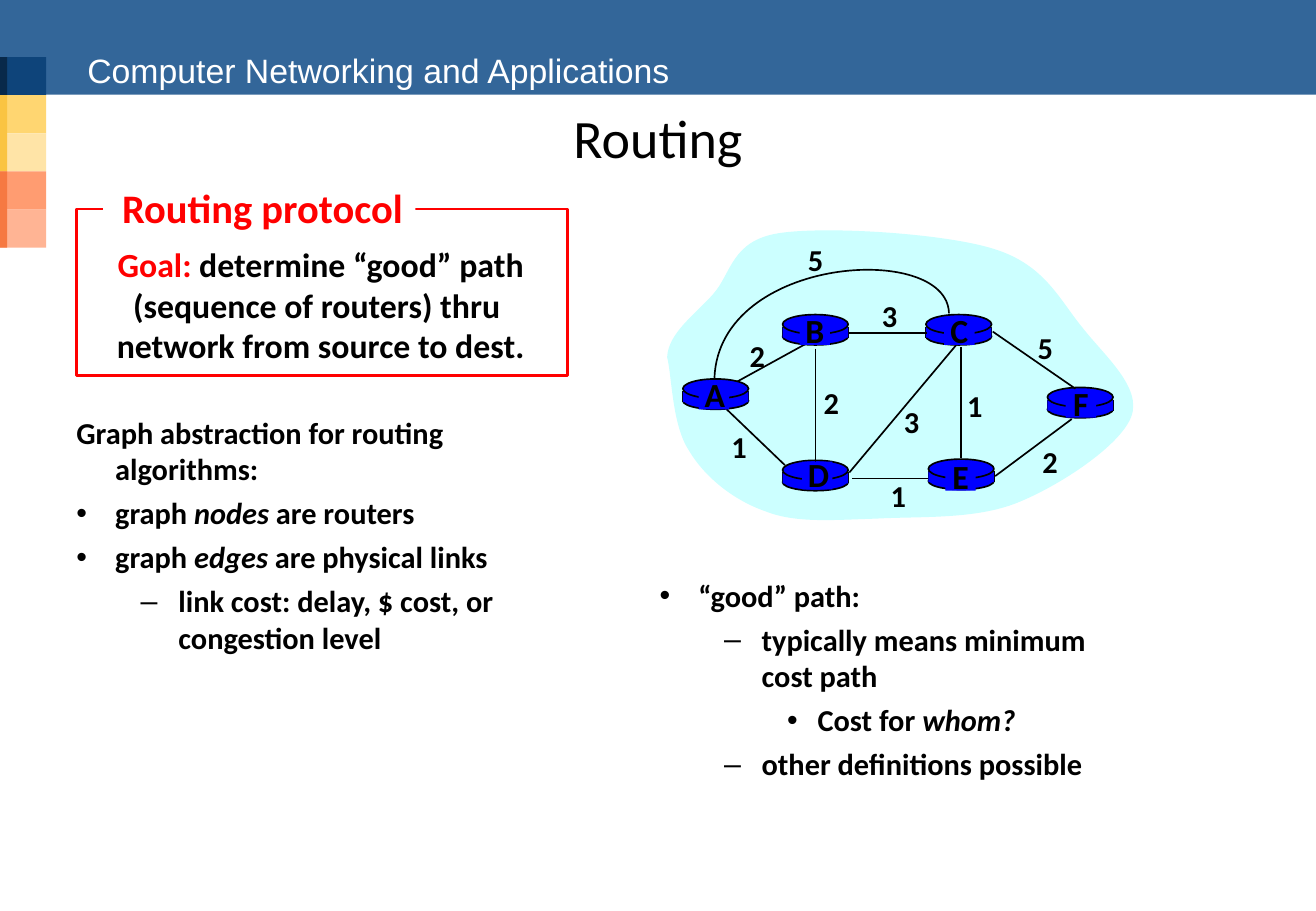
from lxml.etree import SubElement
from pptx import Presentation
from pptx.dml.color import RGBColor
from pptx.enum.shapes import MSO_CONNECTOR, MSO_SHAPE
from pptx.enum.text import MSO_ANCHOR, PP_ALIGN
from pptx.oxml.ns import qn
from pptx.util import Inches, Pt

BLACK, WHITE, RED, BLUE = "000000", "FFFFFF", "FF0000", "0000FF"
ROUTER_WIDTH = 0.54


def color(value):
    return RGBColor.from_string(value)


class SlideBuilder:
    def __init__(self, slide, font="Calibri"):
        self.slide = slide
        self.font = font

    def paint(self, shape, fill, line, width):
        shape.shadow.inherit = False
        if fill:
            shape.fill.solid()
            shape.fill.fore_color.rgb = color(fill)
        else:
            shape.fill.background()
        if line:
            shape.line.color.rgb = color(line)
            shape.line.width = Pt(width)
        else:
            shape.line.fill.background()

    def shape(self, left, top, width, height, fill=None, line=None, line_width=1,
              kind=MSO_SHAPE.RECTANGLE):
        shape = self.slide.shapes.add_shape(
            kind, Inches(left), Inches(top), Inches(width), Inches(height))
        self.paint(shape, fill, line, line_width)

    def ellipse(self, left, top, width, height):
        self.shape(left, top, width, height, BLUE, BLACK, kind=MSO_SHAPE.OVAL)

    def line(self, start, end):
        connector = self.slide.shapes.add_connector(
            MSO_CONNECTOR.STRAIGHT, *(Inches(value) for value in (*start, *end)))
        connector.line.color.rgb = color(BLACK)
        connector.line.width = Pt(1)
        SubElement(connector._element.spPr, qn("a:effectLst"))

    def curve(self, start, segments, fill=None, line=None, close=False):
        """Draw cubic curves, each given as two control points and an end."""
        points = [(Inches(x), Inches(y)) for segment in segments for x, y in segment]
        builder = self.slide.shapes.build_freeform(Inches(start[0]), Inches(start[1]))
        builder.add_line_segments(points, close=close)
        shape = builder.convert_to_shape()
        corners = list(shape._element.iter(qn("a:lnTo")))
        outline = corners[0].getparent()
        for index in range(0, len(corners), 3):
            cubic = outline.makeelement(qn("a:cubicBezTo"))
            corners[index].addprevious(cubic)
            for corner in corners[index:index + 3]:
                cubic.append(corner[0])
                outline.remove(corner)
        self.paint(shape, fill, line, 1)

    def text_box(self, left, top, width, height, wrap=True, anchor=MSO_ANCHOR.TOP):
        box = self.slide.shapes.add_textbox(
            Inches(left), Inches(top), Inches(width), Inches(height))
        box.text_frame.word_wrap = wrap
        box.text_frame.vertical_anchor = anchor
        return box.text_frame

    def format_run(self, run, size, text_color=BLACK, bold=True, italic=False, font=None):
        run.font.name = font or self.font
        run.font.size = Pt(size)
        run.font.bold = bold
        run.font.italic = italic
        run.font.color.rgb = color(text_color)

    def text(self, left, top, width, height, text, size, align=PP_ALIGN.CENTER,
             wrap=False, anchor=MSO_ANCHOR.TOP, **style):
        frame = self.text_box(left, top, width, height, wrap, anchor)
        frame.text = text
        for paragraph in frame.paragraphs:
            paragraph.alignment = align
            for run in paragraph.runs:
                self.format_run(run, size, **style)
        return frame

    def bullets(self, left, top, width, height, items):
        """Each item is a level, a bullet sign and text with *italic* parts."""
        frame = self.text_box(left, top, width, height)
        indents = ((0.32, -0.32), (0.84, -0.31), (1.3, -0.25))
        for index, (level, sign, text) in enumerate(items):
            paragraph = frame.add_paragraph() if index else frame.paragraphs[0]
            paragraph.level = level
            margin, indent = indents[level]
            properties = paragraph._p.get_or_add_pPr()
            properties.set("marL", str(Inches(margin)))
            properties.set("indent", str(Inches(indent)))
            if sign:
                bullet_color = SubElement(properties, qn("a:buClr"))
                SubElement(bullet_color, qn("a:srgbClr")).set("val", BLACK)
                SubElement(properties, qn("a:buFont")).set("typeface", "Arial")
                SubElement(properties, qn("a:buChar")).set("char", sign)
            if index:
                paragraph.space_before = Pt(4.5)
            for part, words in enumerate(text.split("*")):
                if words:
                    run = paragraph.add_run()
                    run.text = words
                    self.format_run(run, 18, italic=part % 2 == 1)

    def router(self, left, top):
        self.ellipse(left, top + 0.11, ROUTER_WIDTH, 0.14)
        for x in (left, left + ROUTER_WIDTH):
            self.line((x, top + 0.1), (x, top + 0.19))
        self.shape(left, top + 0.1, ROUTER_WIDTH, 0.09, BLUE)
        self.ellipse(left, top, ROUTER_WIDTH, 0.16)

    def router_name(self, name, left, top):
        self.shape(left, top, 0.25, 0.23, BLUE)
        self.text(left - 0.05, top - 0.11, 0.35, 0.44, name, 20)


def draw_frame(builder):
    builder.shape(0, 0, 10.83, 0.78, "336699")
    row = 0.314
    tiles = ("0E447A", "FFD671", "FFE4A7", "FF9C71", "FFB494")
    for index, fill in enumerate(tiles):
        builder.shape(0, 0.47 + index * row, 0.38, row, fill)
    for first, count, fill in ((0, 1, "08294A"), (1, 2, "FAC442"), (3, 2, "F67942")):
        builder.shape(0, 0.47 + first * row, 0.06, count * row, fill)
    builder.text(0.62, 0.36, 8.59, 0.56, "Computer Networking and Applications", 20,
                 align=PP_ALIGN.LEFT, wrap=True, text_color=WHITE, bold=False, font="Arial")
    builder.text(0.54, 0.5, 9.75, 1.25, "Routing", 32, wrap=True,
                 anchor=MSO_ANCHOR.MIDDLE, bold=False)


def draw_goal(builder):
    frame = builder.text(0.61, 1.96, 4.06, 1.1, "Goal:\n(sequence of routers) thru \n"
                         "network from source to dest.", 20, wrap=True)
    first = frame.paragraphs[0]
    first.runs[0].font.color.rgb = color(RED)
    rest = first.add_run()
    rest.text = " determine “good” path"
    builder.format_run(rest, 20)
    builder.shape(0.63, 1.72, 4.04, 1.37, line=RED, line_width=1.5)
    builder.shape(0.85, 1.52, 2.57, 0.39, WHITE)
    builder.text(0.9, 1.46, 2.52, 0.5, "Routing protocol", 24, text_color=RED)


def draw_network(builder):
    cloud = (((5.5, 2.74), (5.72, 2.59), (5.87, 2.42)), ((6.02, 2.25), (6.02, 1.98), (6.41, 1.92)),
             ((6.79, 1.86), (7.77, 1.92), (8.18, 2.05)), ((8.6, 2.18), (8.72, 2.47), (8.91, 2.7)),
             ((9.09, 2.93), (9.4, 3.19), (9.31, 3.43)), ((9.22, 3.67), (8.72, 4), (8.37, 4.14)),
             ((8.02, 4.28), (7.56, 4.25), (7.21, 4.27)), ((6.87, 4.28), (6.55, 4.31), (6.3, 4.21)),
             ((6.04, 4.12), (5.8, 3.93), (5.67, 3.71)), ((5.53, 3.5), (5.53, 3.1), (5.49, 2.94)))
    builder.curve((5.49, 2.94), cloud, fill="CCFFFF", close=True)
    builder.line((6.07, 3.14), (6.67, 2.81))
    routers = ((5.62, 3.12), (6.44, 3.79), (6.44, 2.59), (7.62, 2.59), (7.64, 3.78), (8.62, 3.19))
    for left, top in routers:
        builder.router(left, top)
    links = (((7.91, 2.86), (7.91, 3.77)), ((6.71, 2.87), (6.71, 3.8)),
             ((6.99, 3.89), (7.87, 2.84)), ((8.19, 3.92), (8.82, 3.45)),
             ((7.64, 3.94), (7.01, 3.94)), ((6.46, 3.83), (5.98, 3.37)),
             ((7.63, 2.74), (6.99, 2.74)), ((8.85, 3.2), (8.17, 2.73)))
    for start, end in links:
        builder.line(start, end)
    builder.curve((7.81, 2.58), (((7.8, 1.99), (5.92, 2.1), (5.88, 3.11)),), line=BLACK)
    names = (("A", 5.75, 3.14), ("E", 7.78, 3.81), ("D", 6.6, 3.8),
             ("C", 7.77, 2.61), ("B", 6.58, 2.61), ("F", 8.77, 3.21))
    for name, left, top in names:
        builder.router_name(name, left, top)
    costs = (("2", 6.07, 2.73), ("2", 6.68, 3.11), ("1", 5.92, 3.48), ("3", 7.34, 3.27),
             ("1", 7.23, 3.88), ("1", 7.86, 3.14), ("2", 8.48, 3.6), ("5", 8.44, 2.66),
             ("3", 7.16, 2.4), ("5", 6.55, 1.94))
    for cost, left, top in costs:
        builder.text(left, top, 0.32, 0.4, cost, 18)


def main():
    presentation = Presentation()
    presentation.slide_width, presentation.slide_height = Inches(10.83), Inches(7.5)
    builder = SlideBuilder(presentation.slides.add_slide(presentation.slide_layouts[6]))
    draw_frame(builder)
    builder.bullets(0.53, 3.36, 4.17, 3.8, (
        (0, None, "Graph abstraction for routing algorithms:"),
        (0, "•", "graph *nodes* are routers"),
        (0, "•", "graph *edges* are physical links"),
        (1, "–", "link cost: delay, $ cost, or congestion level")))
    draw_goal(builder)
    draw_network(builder)
    builder.bullets(5.33, 4.7, 4.17, 1.86, (
        (0, "•", "“good” path:"),
        (1, "–", "typically means minimum cost path"),
        (2, "•", "Cost for *whom?*"),
        (1, "–", "other definitions possible")))
    presentation.save("out.pptx")


if __name__ == "__main__":
    main()
